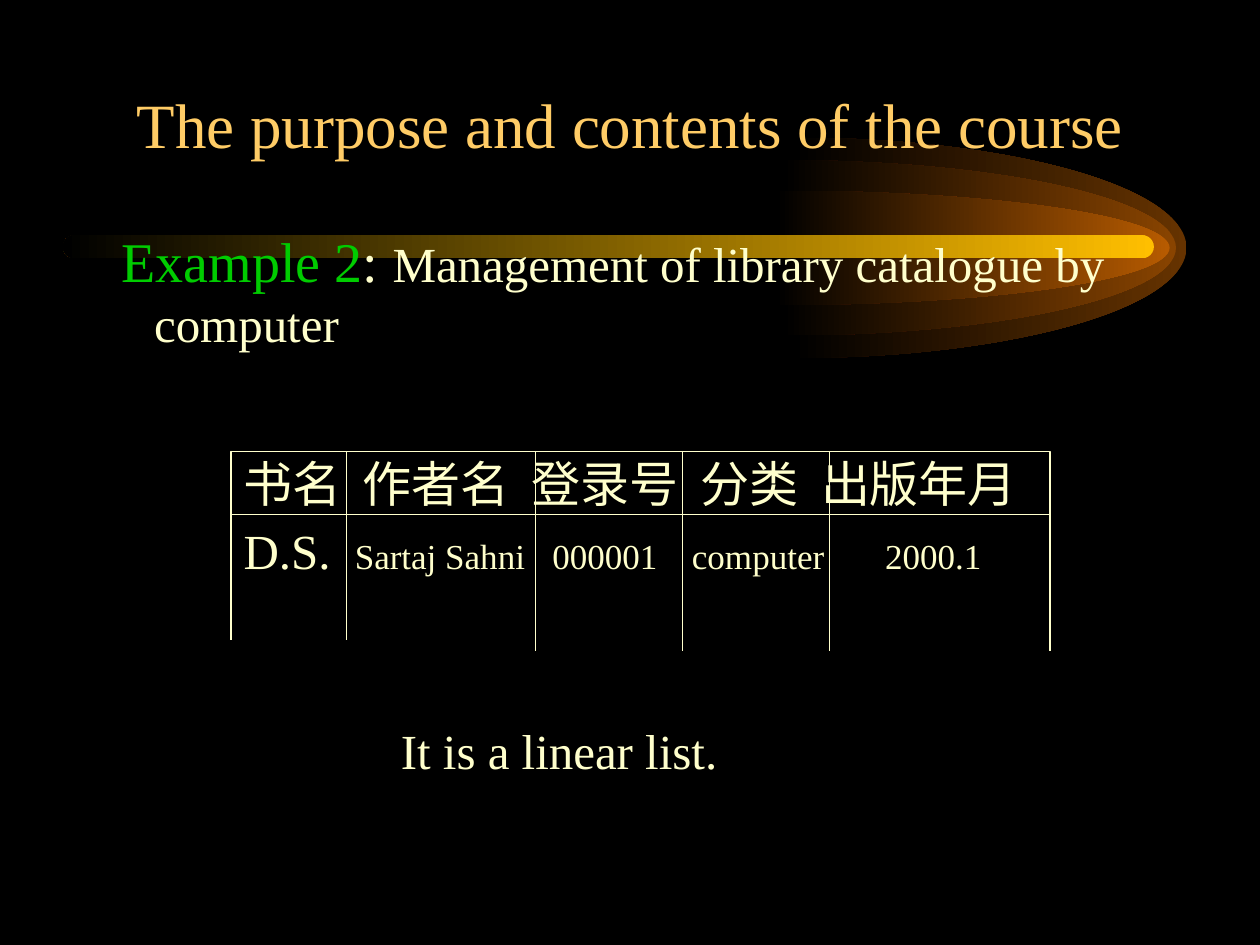
from dataclasses import dataclass

from lxml import etree
from pptx import Presentation
from pptx import util as u
from pptx.dml.color import RGBColor
from pptx.enum import shapes, text
from pptx.oxml.ns import qn

COLS, ROWS = 120, 90
CREAM, GOLD, GREEN, BLACK = "FFFFCC", "FFCC66", "00CC00", "000000"
FONT = "Times New Roman"
ARC = 0.55

prs = Presentation()
prs.slide_width, prs.slide_height = u.Inches(10), u.Inches(7.5)
s = prs.slides.add_slide(prs.slide_layouts[6])


@dataclass
class Glow:
    left: float
    half_height: float
    color: str


@dataclass
class Rule:
    col: float
    top: float
    bottom: float


@dataclass
class Run:
    text: str
    size: float
    color: str = CREAM


@dataclass
class Cell:
    text: str
    left: float
    top: float
    width: float
    size: float


def x(col: float) -> int:
    return round(prs.slide_width * col / COLS)


def y(row: float) -> int:
    return round(prs.slide_height * row / ROWS)


def rgb(color: str) -> RGBColor:
    return RGBColor.from_string(color)


def fade(sp, color: str) -> None:
    sp.shadow.inherit = False
    sp.line.fill.background()
    sp.fill.gradient()
    sp.fill.gradient_angle = 180
    for stop, value in zip(sp.fill.gradient_stops, (color, BLACK)):
        stop.color.rgb = rgb(value)


def add_glow(glow: Glow, width: float = 37.5, middle: float = 23.6) -> None:
    half = glow.half_height
    builder = s.shapes.build_freeform(x(glow.left), y(middle - half))
    builder.add_line_segments([(x(glow.left + width), y(middle)),
                               (x(glow.left), y(middle + half))], close=True)
    sp = builder.convert_to_shape()
    arcs = (((ARC, 0), (1, 1 - ARC), (1, 1)), ((1, 1 + ARC), (ARC, 2), (0, 2)))
    for edge, arc in zip(list(sp._element.iter(qn("a:lnTo"))), arcs):
        curve = etree.Element(qn("a:cubicBezTo"))
        for px, py in arc:
            etree.SubElement(curve, qn("a:pt"), x=str(x(width * px)), y=str(y(half * py)))
        edge.getparent().replace(edge, curve)
    fade(sp, glow.color)


def add_rule(rule: Rule) -> None:
    line = s.shapes.add_connector(shapes.MSO_CONNECTOR.STRAIGHT,
                                  x(rule.col), y(rule.top), x(rule.col), y(rule.bottom))
    line.line.color.rgb = rgb(CREAM)
    line.line.width = u.Pt(0.75)
    etree.SubElement(line._element.spPr, qn("a:effectLst"))


def add_text(left: float, top: float, width: float, height: float, runs: list[Run], *,
             anchor=text.MSO_ANCHOR.TOP, align=text.PP_ALIGN.LEFT,
             margin: float = 0, indent: float = 0, inset: float = 1.2) -> None:
    tf = s.shapes.add_textbox(x(left), y(top), x(width), y(height)).text_frame
    tf.word_wrap = True
    tf.vertical_anchor = anchor
    tf.margin_left = tf.margin_right = x(inset)
    p = tf.paragraphs[0]
    p.alignment = align
    pPr = p._p.get_or_add_pPr()
    pPr.set("marL", str(x(margin)))
    pPr.set("indent", str(x(indent)))
    for run in runs:
        r = p.add_run()
        r.text = run.text
        r.font.name = FONT
        r.font.size = u.Pt(run.size)
        r.font.color.rgb = rgb(run.color)


s.background.fill.solid()
s.background.fill.fore_color.rgb = rgb(BLACK)

for glow in (Glow(75.5, 10.5, "663300"), Glow(74.5, 8.35, "894400"), Glow(73.9, 5.45, "B75B00")):
    add_glow(glow)
beam = s.shapes.add_shape(shapes.MSO_SHAPE.ROUNDED_RECTANGLE, x(6), y(22.4), x(103.9), y(2.2))
beam.adjustments[0] = 0.5
fade(beam, "FFBF00")

add_text(9, 0.9, 102, 15, [Run("The purpose and contents of the course", 36, GOLD)],
         anchor=text.MSO_ANCHOR.BOTTOM, align=text.PP_ALIGN.CENTER)
add_text(9, 21, 102, 54, [Run("Example 2", 32, GREEN), Run(": ", 32),
                          Run("Management of library catalogue by computer", 28)],
         margin=4.5, indent=-3.1)

header = s.shapes.add_shape(shapes.MSO_SHAPE.RECTANGLE, x(22), y(43), x(78), y(6))
header.shadow.inherit = False
header.fill.background()
header.line.color.rgb = rgb(CREAM)
header.line.width = u.Pt(0.75)

for rule in (Rule(33, 43, 61), Rule(22, 49, 61), Rule(51, 43, 62),
             Rule(65, 43, 62), Rule(79, 43, 62), Rule(100, 49, 62)):
    add_rule(rule)

for name, left, width in (("书名", 23.2, 10), ("作者名", 34.55, 15), ("登录号", 50.65, 15),
                          ("分类", 66.75, 10), ("出版年月", 78.2, 20)):
    add_text(left, 43, width, 6, [Run(name, 28)], anchor=text.MSO_ANCHOR.MIDDLE, inset=0)

for cell in (Cell("D.S.", 23.2, 49, 9, 28), Cell("Sartaj Sahni", 33.8, 50.35, 17, 20),
             Cell("000001", 52.6, 50.35, 12, 20), Cell("computer", 65.9, 50.35, 13.5, 20),
             Cell("2000.1", 84.3, 50.35, 12, 20)):
    add_text(cell.left, cell.top, cell.width, 55.8 - cell.top, [Run(cell.text, cell.size)], inset=0)

add_text(37, 68, 72, 6.8, [Run("It is a linear list.", 28)])

prs.save("out.pptx")
